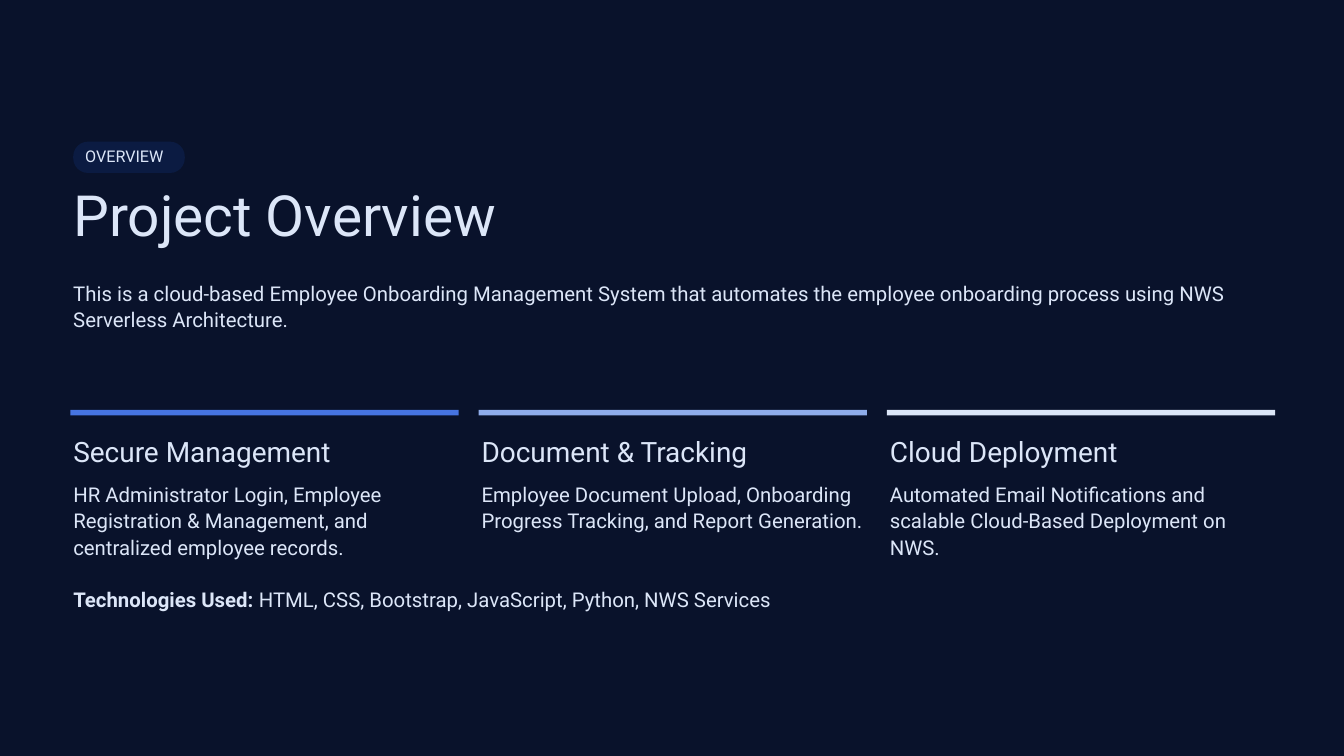
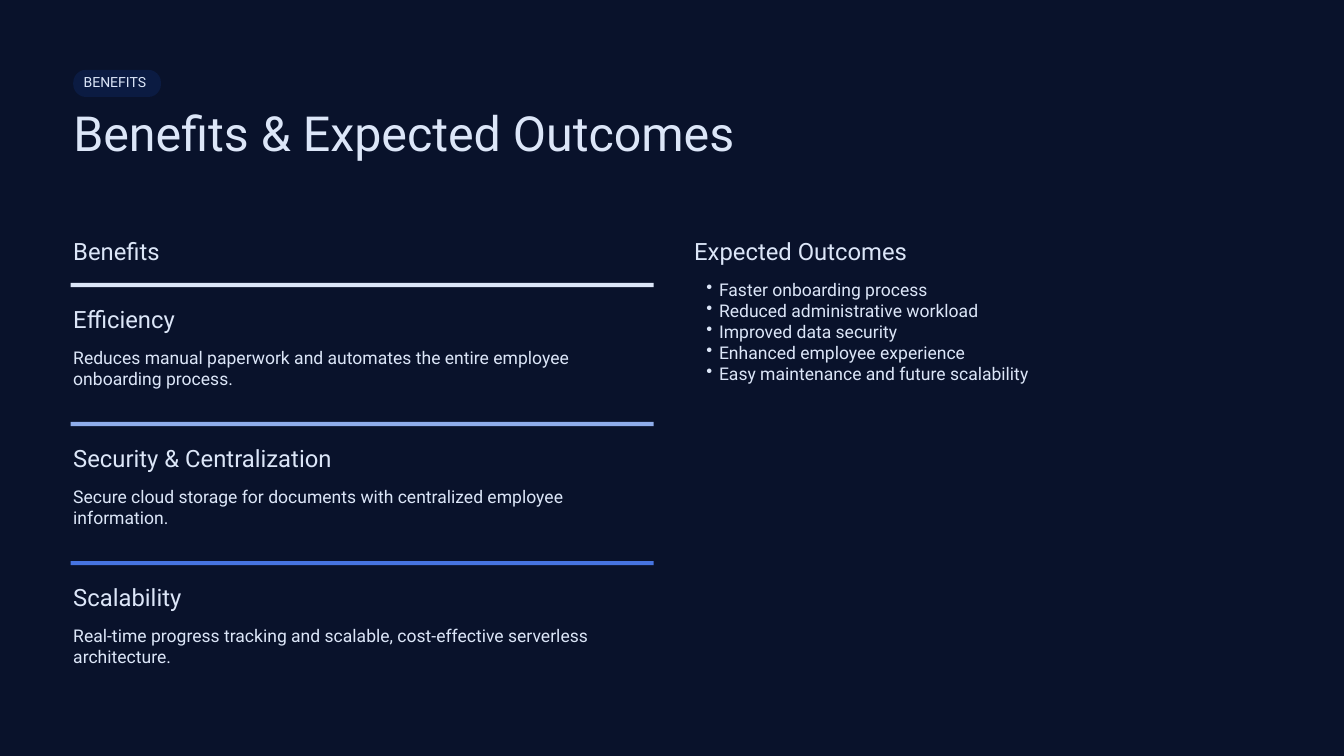
import collections
import lxml.etree
import pptx
import pptx.dml.color
import pptx.enum.shapes
import pptx.enum.text
import pptx.oxml.ns
import pptx.util

Pt = pptx.util.Pt
FONT = "Roboto"
NAVY, PILL, PALE = "09122B", "0B1B42", "DCE6F8"
BLUE, SKY = "4674E1", "8FADEB"
LEFT, WIDE = 78.5, 1284.5

# Text styles are (size, line spacing); the last four lay out a card.
Style = collections.namedtuple(
    "Style", "tag title head body bar out head_dy body_dy")
LARGE = Style((17.3, 19.9), (60.8, 73), (30, 36), (21.8, 28.2),
              5.8, 3.2, 26.6, 75.5)
SMALL = Style((15, 17.3), (51.8, 62.1), (25.5, 30.6), (18.8, 22.5),
              4.5, 2.7, 23, 69)


def color(code):
    return pptx.dml.color.RGBColor.from_string(code)


def place(shape, x, y, w, h):
    shape.left, shape.top, shape.width, shape.height = Pt(x), Pt(y), Pt(w), Pt(h)


def block(slide, kind, x, y, w, h, fill):
    """Draw a plain filled shape."""
    shape = slide.shapes.add_shape(kind, Pt(x), Pt(y), Pt(w), Pt(h))
    shape.shadow.inherit = False
    shape.fill.solid()
    shape.fill.fore_color.rgb = color(fill)
    shape.line.fill.background()
    return shape


def dress(para, look):
    """Give a paragraph and its runs the shared text look."""
    size, space = look
    para.line_spacing = Pt(space)
    para.space_before = para.space_after = Pt(0)
    para.alignment = pptx.enum.text.PP_ALIGN.LEFT
    for run in para.runs:
        run.font.name = FONT
        run.font.size = Pt(size)
        run.font.color.rgb = color(PALE)


def fill_text(frame, lines, look):
    frame.margin_left = frame.margin_right = Pt(0)
    frame.margin_top = frame.margin_bottom = Pt(0)
    frame.word_wrap = True
    frame.auto_size = pptx.enum.text.MSO_AUTO_SIZE.NONE
    frame.vertical_anchor = pptx.enum.text.MSO_ANCHOR.TOP
    frame.text = "\n".join(lines)
    for para in frame.paragraphs:
        dress(para, look)


def label(slide, x, y, w, h, lines, look):
    box = slide.shapes.add_textbox(Pt(x), Pt(y), Pt(w), Pt(h))
    fill_text(box.text_frame, lines, look)
    return box.text_frame


def bullet(para):
    para.level = 1
    props = para._p.get_or_add_pPr()
    props.set("marL", str(Pt(26.6)))
    props.set("indent", str(Pt(-13.5)))
    mark = lxml.etree.SubElement(props, pptx.oxml.ns.qn("a:buChar"))
    mark.set("char", "•")


def header(slide, y, style, tag, pill_w, title):
    """Pill tag with the slide title beneath it."""
    size, space = style.tag
    pill_h = size * 1.94
    pill = block(slide, pptx.enum.shapes.MSO_SHAPE.ROUNDED_RECTANGLE,
                 LEFT, y, pill_w, pill_h, PILL)
    pill.adjustments[0] = 0.47
    label(slide, LEFT + size * 0.74, y + size * 0.32, pill_w + 45, space + 1,
          [tag], style.tag)
    place(slide.shapes.title, LEFT, y + pill_h + size * 0.44,
          WIDE, style.title[1] + 2)
    fill_text(slide.shapes.title.text_frame, [title], style.title)


def card(slide, x, y, w, style, head, body, fill):
    """Coloured rule with a heading and a short text below."""
    label(slide, x, y + style.head_dy, w, style.head[1] + 2, [head], style.head)
    label(slide, x, y + style.body_dy, w, style.body[1] * 3, [body], style.body)
    block(slide, pptx.enum.shapes.MSO_SHAPE.RECTANGLE,
          x - style.out, y, w + 2 * style.out, style.bar, fill)


def overview(slide):
    header(slide, 151.8, LARGE, "OVERVIEW", 119.5, "Project Overview")
    label(slide, LEFT, 299, WIDE, 115,
          ["This is a cloud-based Employee Onboarding Management System that "
           "automates the employee onboarding process using NWS Serverless "
           "Architecture."], LARGE.body)

    # Three feature columns
    cards = [
        ("Secure Management", "HR Administrator Login, Employee Registration "
         "& Management, and centralized employee records.", BLUE),
        ("Document & Tracking", "Employee Document Upload, Onboarding "
         "Progress Tracking, and Report Generation.", SKY),
        ("Cloud Deployment", "Automated Email Notifications and scalable "
         "Cloud-Based Deployment on NWS.", PALE),
    ]
    gap = 27.8
    width = (WIDE - 2 * gap) / 3
    for i, (head, body, fill) in enumerate(cards):
        card(slide, LEFT + i * (width + gap), 439.2, width, LARGE,
             head, body, fill)

    # Technology line
    frame = label(slide, LEFT, 627, 1356, 32, ["Technologies Used:"], LARGE.body)
    para = frame.paragraphs[0]
    para.add_run().text = " HTML, CSS, Bootstrap, JavaScript, Python, NWS Services"
    dress(para, LARGE.body)
    para.runs[0].font.bold = True


def benefits(slide):
    header(slide, 74.8, SMALL, "BENEFITS", 94, "Benefits & Expected Outcomes")
    width, top = 619.2, 253.5
    right = LEFT + WIDE - width
    for x, head in ((LEFT, "Benefits"), (right, "Expected Outcomes")):
        label(slide, x, top, width, 32.5, [head], SMALL.head)

    # Stacked benefits
    cards = [
        ("Efficiency", "Reduces manual paperwork and automates the entire "
         "employee onboarding process.", PALE),
        ("Security & Centralization", "Secure cloud storage for documents "
         "with centralized employee information.", SKY),
        ("Scalability", "Real-time progress tracking and scalable, "
         "cost-effective serverless architecture.", BLUE),
    ]
    for i, (head, body, fill) in enumerate(cards):
        card(slide, LEFT, top + 49.6 + i * 149, width, SMALL, head, body, fill)

    # Outcome list
    frame = label(slide, right, top + 45.3, width, 139, [
        "Faster onboarding process",
        "Reduced administrative workload",
        "Improved data security",
        "Enhanced employee experience",
        "Easy maintenance and future scalability",
    ], SMALL.body)
    for para in frame.paragraphs:
        bullet(para)


def main():
    deck = pptx.Presentation()
    deck.slide_width, deck.slide_height = Pt(1440), Pt(810)
    back = deck.slide_master.background.fill
    back.solid()
    back.fore_color.rgb = color(NAVY)
    for build in (overview, benefits):
        build(deck.slides.add_slide(deck.slide_layouts[5]))
    deck.save("out.pptx")


if __name__ == "__main__":
    main()
